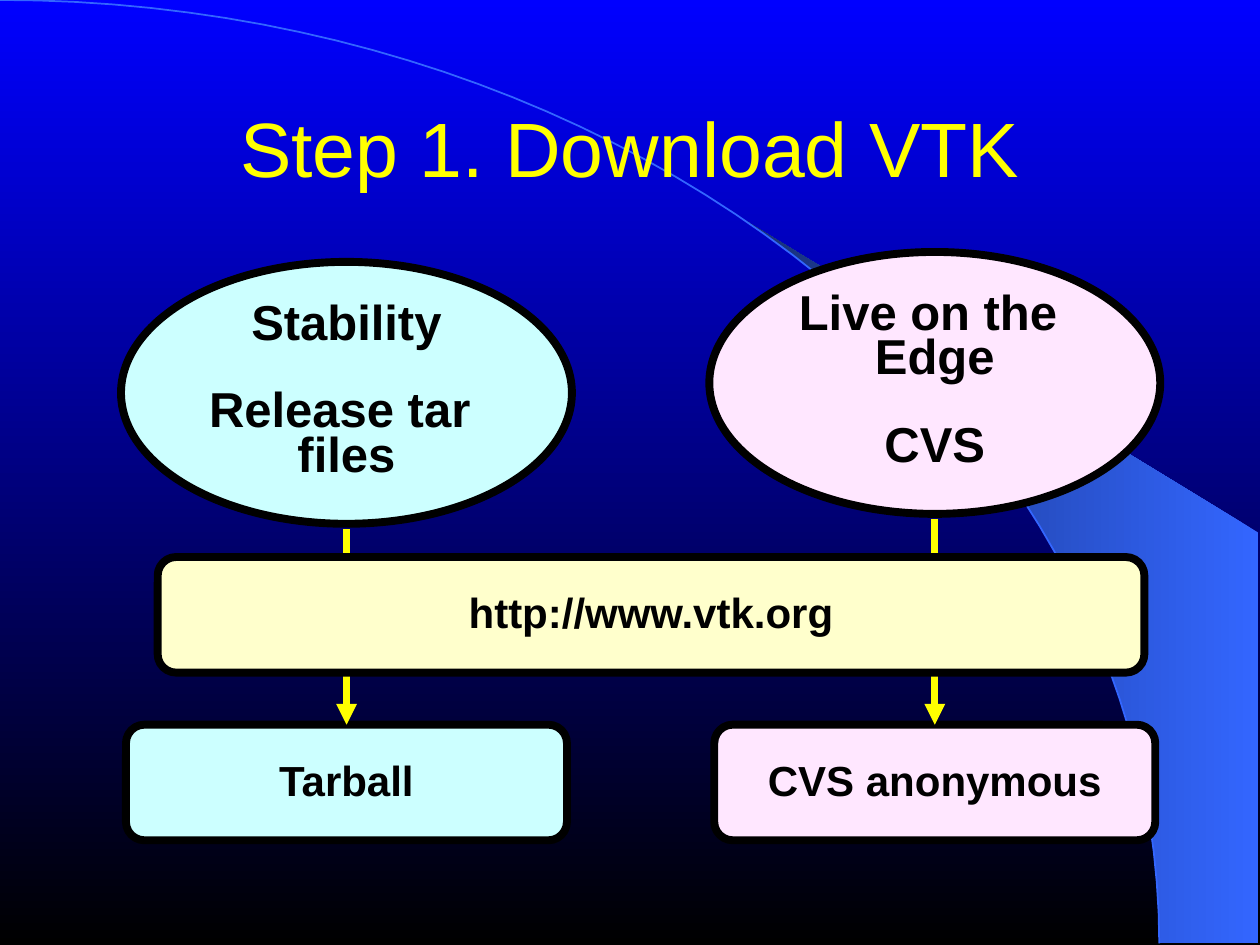
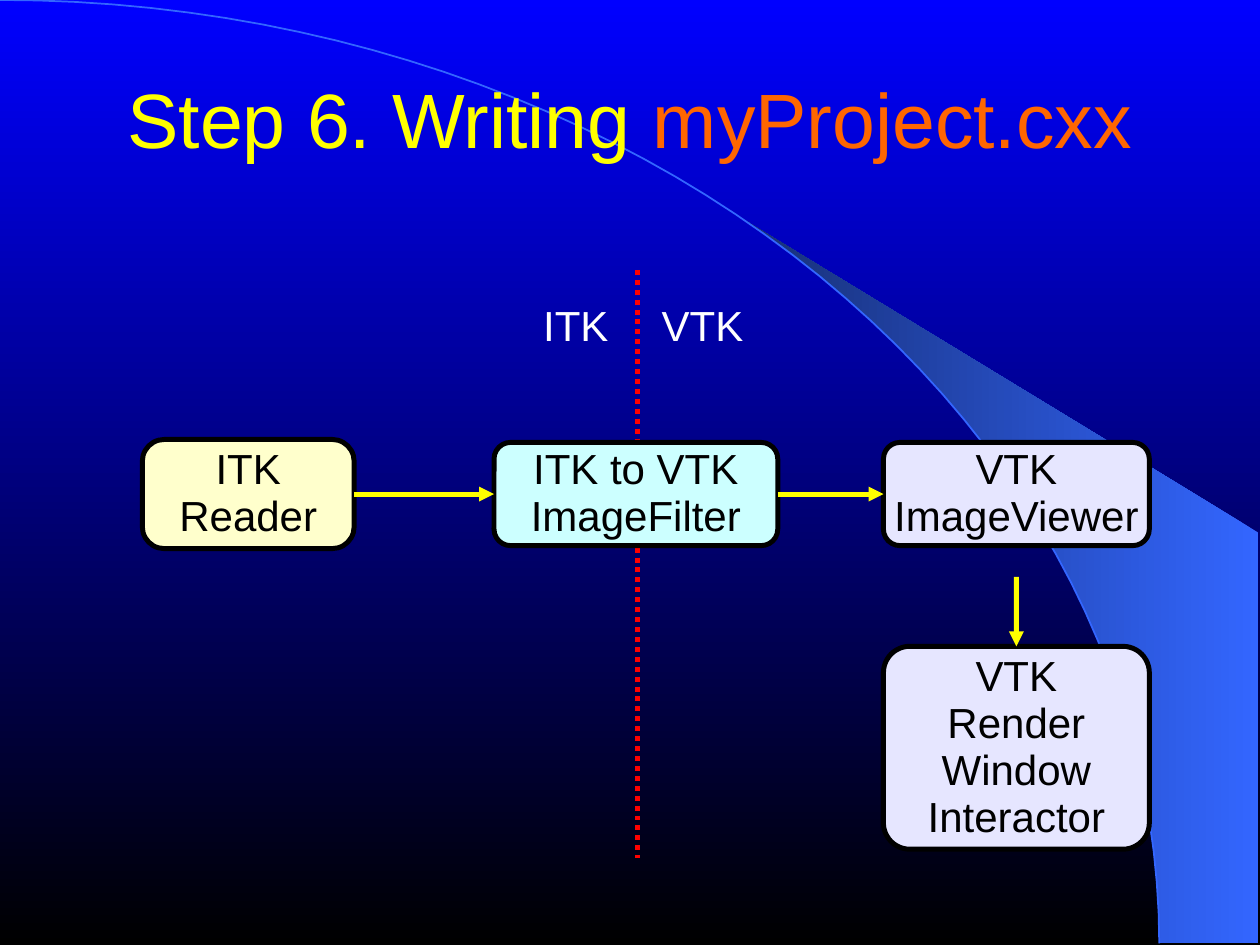
from math import asin, cos, pi, sin

from lxml import etree
from pptx import Presentation
from pptx.dml.color import RGBColor
from pptx.enum import dml, shapes, text
from pptx.oxml import ns
from pptx.util import Cm, Pt

COLORS = {
    "sky": "0000FF", "black": "000000", "arc": "3366FF", "wedge": "172F75",
    "title": "FFFF00", "file": "FF6600", "arrow": "FFFF00", "divider": "FF0000",
    "cyan": "CCFFFF", "pink": "FFE7FF", "cream": "FFFFCC", "lilac": "E6E6FF",
    "white": "FFFFFF",
}
FONT = "Arial"
ARC_RX, ARC_RY = 23.37, 19.02
WEDGE_LEFT, WEDGE_RIGHT, WEDGE_TOP = 14.96, 25.37, 10.74


def rgb(name):
    return RGBColor.from_string(COLORS[name])


def gradient(fill, start, end, angle):
    fill.gradient()
    fill.gradient_angle = angle
    for stop, name in zip(fill.gradient_stops, (start, end)):
        stop.color.rgb = rgb(name)


def add_run(p, words, size, color, bold=False):
    r = p.add_run()
    r.text = words
    r.font.name = FONT
    r.font.size = Pt(size)
    r.font.bold = bold
    r.font.color.rgb = rgb(color)


def write(tf, groups, size, color="black", bold=False, spacing=0.93,
          align=text.PP_ALIGN.CENTER):
    tf.word_wrap = False
    tf.margin_left = tf.margin_right = tf.margin_top = tf.margin_bottom = 0
    p = None
    for g, group in enumerate(groups):
        for i, line in enumerate(group):
            p = tf.add_paragraph() if p else tf.paragraphs[0]
            p.alignment = align
            p.line_spacing = spacing
            if g and not i:
                p.space_before = Pt(25)
            add_run(p, line, size, color, bold)


def add_node(slide, kind, box, color, weight, corner=None):
    sp = slide.shapes.add_shape(kind, *map(Cm, box))
    sp.shadow.inherit = False
    sp.fill.solid()
    sp.fill.fore_color.rgb = rgb(color)
    sp.line.color.rgb = rgb("black")
    sp.line.width = Pt(weight)
    sp.text_frame.vertical_anchor = text.MSO_ANCHOR.MIDDLE
    if corner:
        sp.adjustments[0] = corner
    return sp


def add_box(slide, box, color, lines, weight, corner=0.16, bold=False):
    sp = add_node(slide, shapes.MSO_SHAPE.ROUNDED_RECTANGLE, box, color, weight, corner)
    write(sp.text_frame, [lines], 24, bold=bold)
    return sp


def add_line(slide, start, end, color, weight, arrow=True):
    line = slide.shapes.add_connector(
        shapes.MSO_CONNECTOR.STRAIGHT, *map(Cm, start + end))
    line.line.color.rgb = rgb(color)
    line.line.width = Pt(weight)
    if arrow:
        ln = line.line._get_or_add_ln()
        etree.SubElement(ln, ns.qn("a:tailEnd"), type="triangle")
    etree.SubElement(line.element.spPr, ns.qn("a:effectLst"))
    return line


def arc_points(first, last, steps=48):
    angles = [first + (last - first) * i / steps for i in range(steps + 1)]
    return [(ARC_RX * sin(a), ARC_RY * (1 - cos(a))) for a in angles]


def add_outline(slide, points, close):
    points = [(Cm(x), Cm(y)) for x, y in points]
    builder = slide.shapes.build_freeform(*points[0])
    builder.add_line_segments(points[1:], close=close)
    sp = builder.convert_to_shape()
    sp.shadow.inherit = False
    return sp


def decorate_master(prs, slide):
    gradient(prs.slide_master.background.fill, "sky", "black", 270)
    edge = arc_points(asin(WEDGE_LEFT / ARC_RX), pi / 2)
    corners = [(WEDGE_RIGHT, ARC_RY), (WEDGE_RIGHT, WEDGE_TOP)]
    wedge = add_outline(slide, edge + corners, True)
    gradient(wedge.fill, "arc", "wedge", 180)
    wedge.line.fill.background()
    arc = add_outline(slide, arc_points(0, pi / 2), False)
    arc.fill.background()
    arc.line.color.rgb = rgb("arc")
    arc.line.width = Pt(1)
    for index, sp in enumerate((wedge, arc), 2):
        prs.slide_master.shapes.element.insert(index, sp.element)


def set_title(slide, box, runs):
    title = slide.shapes.title
    title.left, title.top, title.width, title.height = map(Cm, box)
    tf = title.text_frame
    tf.auto_size = text.MSO_AUTO_SIZE.NONE
    tf.vertical_anchor = text.MSO_ANCHOR.MIDDLE
    p = tf.paragraphs[0]
    p.alignment = text.PP_ALIGN.CENTER
    p.line_spacing = 0.93
    for words, color in runs:
        add_run(p, words, 44, color)


def add_choice(slide, left, top, color, groups, result):
    width, height = 9.09, 5.28
    ellipse = add_node(slide, shapes.MSO_SHAPE.OVAL, (left, top, width, height), color, 4.5)
    write(ellipse.text_frame, groups, 28, bold=True, spacing=0.75)
    box = add_box(slide, (left + 0.1, 14.61, width - 0.2, 2.33), color, [result],
                  4.5, bold=True)
    middle = left + width / 2
    arrow = add_line(slide, (middle, top + height + 0.1), (middle, 14.61), "arrow", 4)
    arrow.end_connect(box, 0)


def build_download(slide):
    set_title(slide, (1.91, 1.47, 21.59, 3.18), [("Step 1. Download VTK", "title")])
    add_choice(slide, 14.3, 5.08, "pink", [["Live on the ", "Edge"], ["CVS"]],
               "CVS anonymous")
    add_choice(slide, 2.44, 5.28, "cyan", [["Stability"], ["Release tar ", "files"]],
               "Tarball")
    add_box(slide, (3.18, 11.23, 19.89, 2.33), "cream", ["http://www.vtk.org"],
            4.5, bold=True)


def add_label(slide, left, width, words):
    label = slide.shapes.add_textbox(Cm(left), Cm(6.12), Cm(width), Cm(0.94))
    write(label.text_frame, [[words]], 24, "white", align=text.PP_ALIGN.LEFT)


def build_pipeline(slide):
    weight = 2.83
    divider = add_line(slide, (12.85, 5.44), (12.85, 17.3), "divider", weight, arrow=False)
    divider.line.dash_style = dml.MSO_LINE.ROUND_DOT
    set_title(slide, (0, 0.46, 25.4, 4.01),
              [("Step 6. Writing ", "title"), ("myProject.cxx", "file")])
    reader = add_box(slide, (2.87, 8.86, 4.27, 2.2), "cream", ["ITK", "Reader"],
                     weight, 0.2)
    image_filter = add_box(slide, (9.96, 8.92, 5.72, 2.08), "cyan",
                           ["ITK to VTK", "ImageFilter"], weight)
    viewer = add_box(slide, (17.81, 8.92, 5.36, 2.08), "lilac",
                     ["VTK", "ImageViewer"], weight)
    interactor = add_box(slide, (17.81, 13.03, 5.36, 4.09), "lilac",
                         ["VTK", "Render", "Window", "Interactor"], weight, 0.13)
    for source, target in ((reader, image_filter), (image_filter, viewer)):
        arrow = add_line(slide, (0, 0), (1, 0), "arrow", weight)
        arrow.begin_connect(source, 3)
        arrow.end_connect(target, 1)
    arrow = add_line(slide, (20.49, 11.63), (20.49, 13.03), "arrow", weight)
    arrow.end_connect(interactor, 0)
    add_label(slide, 10.95, 1.32, "ITK")
    add_label(slide, 13.34, 1.65, "VTK")


def main():
    prs = Presentation()
    prs.slide_width, prs.slide_height = Cm(25.4), Cm(19.05)
    download, pipeline = (prs.slides.add_slide(prs.slide_layouts[5]) for _ in range(2))
    decorate_master(prs, download)
    build_download(download)
    build_pipeline(pipeline)
    prs.save("out.pptx")


if __name__ == "__main__":
    main()
